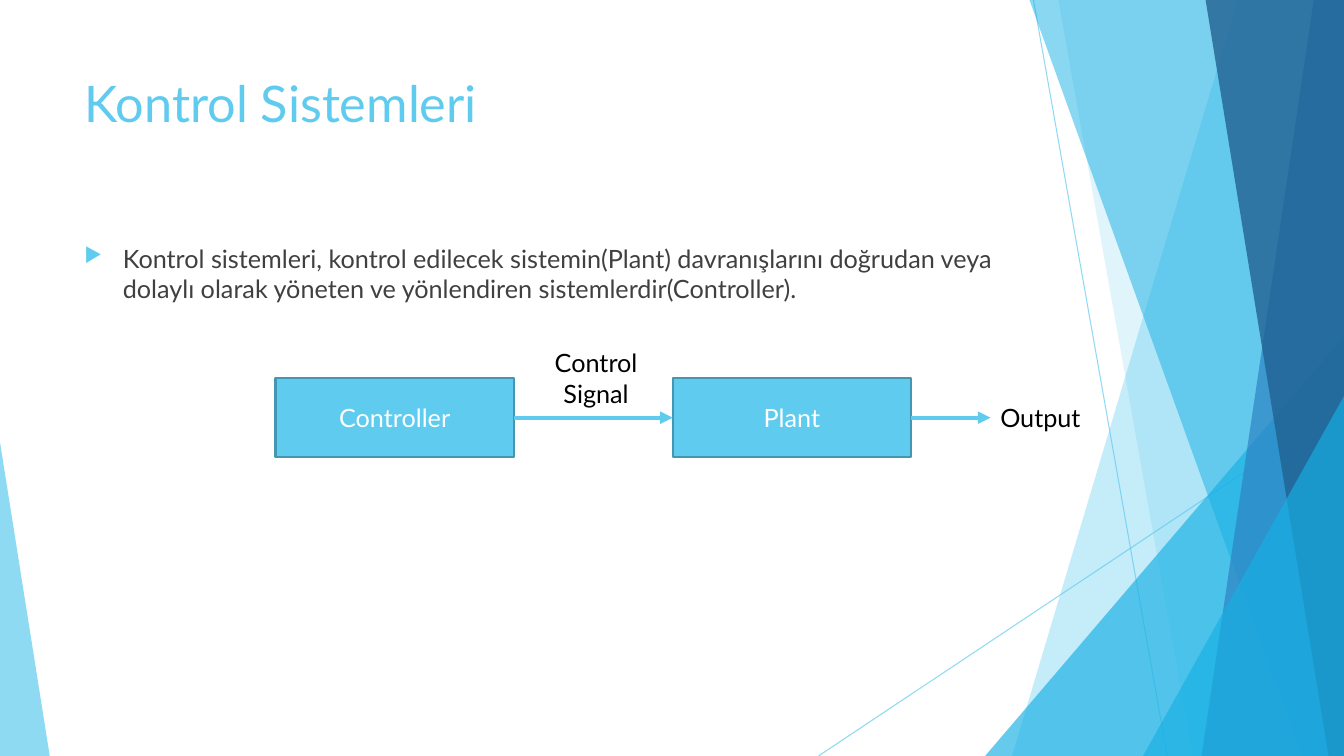
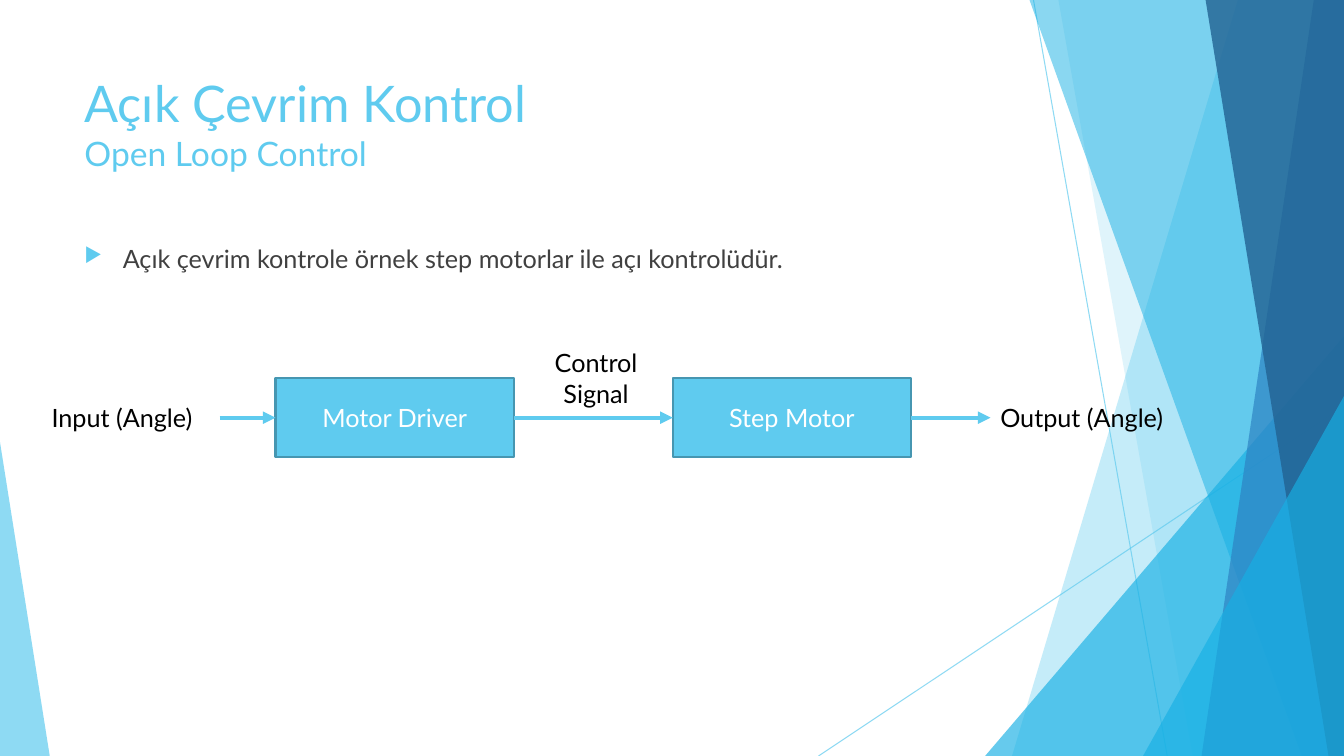
import pptx
import pptx.dml.color
import pptx.enum.shapes
import pptx.enum.text
import pptx.oxml
import pptx.oxml.ns
import pptx.oxml.xmlchemy
import pptx.util

RGBColor = pptx.dml.color.RGBColor
Shape = pptx.enum.shapes.MSO_SHAPE
Align = pptx.enum.text.PP_ALIGN
Anchor = pptx.enum.text.MSO_ANCHOR

SKY = RGBColor(0x5F, 0xCB, 0xEF)
CYAN = RGBColor(0x17, 0xB0, 0xE4)
BLUE = RGBColor(0x2E, 0x83, 0xC3)
NAVY = RGBColor(0x22, 0x62, 0x92)
TEAL = RGBColor(0x46, 0x96, 0xB1)
GRAY = RGBColor(0x40, 0x40, 0x40)
BLACK = RGBColor(0, 0, 0)
WHITE = RGBColor(0xFF, 0xFF, 0xFF)

FONT = "Lato"
TEXT_SIZE = 18
GRID = 100

CONTENT_LEFT, CONTENT_WIDTH = 5.55, 70.5
CELL = 5.91
BLOCK_WIDTH = 3 * CELL
BLOCK_TOP, BLOCK_HEIGHT = 50, 10.5
FIRST_BLOCK = 20.5
SECOND_BLOCK = FIRST_BLOCK + BLOCK_WIDTH + 2 * CELL
OUTPUT_LEFT = SECOND_BLOCK + BLOCK_WIDTH + CELL
LABEL_HEIGHT = 5.4
LABEL_TOP = BLOCK_TOP + (BLOCK_HEIGHT - LABEL_HEIGHT) / 2


class Deck:
    def __init__(self):
        self.presentation = pptx.Presentation()
        self.presentation.slide_width = pptx.util.Inches(13.33)
        self.presentation.slide_height = pptx.util.Inches(7.5)
        self.slide = None

    def column(self, count):
        return round(self.presentation.slide_width * count / GRID)

    def row(self, count):
        return round(self.presentation.slide_height * count / GRID)

    def frame(self, left, top, width, height):
        return self.column(left), self.row(top), self.column(width), self.row(height)

    def child(self, parent, tag, **attributes):
        element = pptx.oxml.xmlchemy.OxmlElement(tag)
        for name, value in attributes.items():
            element.set(name, str(value))
        parent.append(element)

    def opacity(self, shape, percent):
        for color in shape._element.spPr.iter(pptx.oxml.ns.qn("a:srgbClr")):
            self.child(color, "a:alpha", val=percent * 1000)

    def paint(self, shape, color, percent):
        shape.shadow.inherit = False
        shape.fill.solid()
        shape.fill.fore_color.rgb = color
        shape.line.fill.background()
        self.opacity(shape, percent)

    def line(self, start, end, width):
        connector = self.slide.shapes.add_connector(
            pptx.enum.shapes.MSO_CONNECTOR.STRAIGHT,
            self.column(start[0]), self.row(start[1]),
            self.column(end[0]), self.row(end[1]))
        connector.line.color.rgb = SKY
        connector.line.width = pptx.util.Pt(width)
        self.child(connector._element.spPr, "a:effectLst")
        return connector

    def band(self, top_column, bottom_column, color, percent):
        outline = self.slide.shapes.build_freeform(self.column(top_column), 0)
        corners = [(GRID, 0), (GRID, GRID), (bottom_column, GRID)]
        outline.add_line_segments([(self.column(x), self.row(y)) for x, y in corners])
        self.paint(outline.convert_to_shape(), color, percent)

    def triangle(self, left, top, width, apex, color, percent):
        shape = self.slide.shapes.add_shape(
            Shape.ISOSCELES_TRIANGLE, *self.frame(left, top, width, GRID - top))
        shape.adjustments[0] = apex
        self.paint(shape, color, percent)

    def backdrop(self):
        for start, end in [((76.9, 0), (86.85, GRID)), ((GRID, 53.7), (60.9, GRID))]:
            self.opacity(self.line(start, end, 0.75), 70)
        self.band(92.1, 75.3, SKY, 36)
        self.band(78.75, 88.75, SKY, 20)
        self.triangle(73.3, 44.45, 26.7, 1, CYAN, 66)
        self.band(76.6, 96.85, CYAN, 50)
        self.band(97.75, 89.4, BLUE, 70)
        self.band(89.7, 98.85, NAVY, 80)
        self.triangle(85.05, 52.4, 14.95, 1, CYAN, 66)
        self.triangle(0, 58.5, 3.7, 0, SKY, 70)

    def add_text(self, paragraph, text, color, size=TEXT_SIZE):
        run = paragraph.add_run()
        run.text = text
        run.font.name = FONT
        run.font.size = pptx.util.Pt(size)
        run.font.color.rgb = color

    def text_box(self, left, top, width, height, anchor=Anchor.TOP):
        shape = self.slide.shapes.add_textbox(*self.frame(left, top, width, height))
        shape.text_frame.word_wrap = True
        shape.text_frame.vertical_anchor = anchor
        return shape

    def new_slide(self, title, subtitle=None):
        self.slide = self.presentation.slides.add_slide(self.presentation.slide_layouts[6])
        self.backdrop()
        shape = self.text_box(CONTENT_LEFT, 8.9, CONTENT_WIDTH, 19.2)
        paragraph = shape.text_frame.paragraphs[0]
        self.add_text(paragraph, title, SKY, 36)
        if subtitle:
            paragraph.add_line_break()
            self.add_text(paragraph, subtitle, SKY, 24)

    def bullet(self, text):
        shape = self.text_box(CONTENT_LEFT, 31.5, CONTENT_WIDTH, 56.5)
        paragraph = shape.text_frame.paragraphs[0]
        paragraph.space_before = pptx.util.Pt(10)
        properties = paragraph._p.get_or_add_pPr()
        indent = pptx.util.Inches(0.38)
        properties.set("marL", str(indent))
        properties.set("indent", str(-indent))
        self.child(properties, "a:buClr")
        self.child(properties[-1], "a:srgbClr", val=SKY)
        self.child(properties, "a:buSzPct", val=80000)
        self.child(properties, "a:buChar", char="▶")
        self.add_text(paragraph, text, GRAY)

    def block(self, left, text):
        shape = self.slide.shapes.add_shape(
            Shape.RECTANGLE, *self.frame(left, BLOCK_TOP, BLOCK_WIDTH, BLOCK_HEIGHT))
        shape.shadow.inherit = False
        shape.fill.solid()
        shape.fill.fore_color.rgb = SKY
        shape.line.color.rgb = TEAL
        shape.line.width = pptx.util.Pt(1.5)
        shape.text_frame.vertical_anchor = Anchor.MIDDLE
        paragraph = shape.text_frame.paragraphs[0]
        paragraph.alignment = Align.CENTER
        self.add_text(paragraph, text, WHITE)
        return shape

    def label(self, left, width, text):
        shape = self.text_box(left, LABEL_TOP, width, LABEL_HEIGHT, Anchor.MIDDLE)
        self.add_text(shape.text_frame.paragraphs[0], text, BLACK)
        return shape

    def signal(self, *words):
        shape = self.text_box(40.5, 45.35, 7.7, 9.45)
        frame = shape.text_frame
        frame.word_wrap = False
        for index, word in enumerate(words):
            paragraph = frame.add_paragraph() if index else frame.paragraphs[0]
            paragraph.alignment = Align.CENTER
            self.add_text(paragraph, word, BLACK)

    def arrow(self, source, target):
        connector = self.line((0, 0), (0, 0), 3)
        connector.begin_connect(source, 3)
        connector.end_connect(target, 1)
        outline = connector._element.spPr.find(pptx.oxml.ns.qn("a:ln"))
        self.child(outline, "a:tailEnd", type="triangle")

    def diagram(self, controller, plant, output, source=None):
        chain = [self.block(FIRST_BLOCK, controller),
                 self.block(SECOND_BLOCK, plant),
                 self.label(OUTPUT_LEFT, 22.15, output)]
        if source:
            chain.insert(0, self.label(3.1, 13.25, source))
        for start, end in zip(chain, chain[1:]):
            self.arrow(start, end)
        self.signal("Control", "Signal")


def main():
    deck = Deck()

    deck.new_slide("Kontrol Sistemleri")
    deck.bullet("Kontrol sistemleri, kontrol edilecek sistemin(Plant) davranışlarını "
                "doğrudan veya dolaylı olarak yöneten ve yönlendiren "
                "sistemlerdir(Controller).")
    deck.diagram("Controller", "Plant", "Output")

    deck.new_slide("Açık Çevrim Kontrol", "Open Loop Control")
    deck.bullet("Açık çevrim kontrole örnek step motorlar ile açı kontrolüdür.")
    deck.diagram("Motor Driver", "Step Motor", "Output (Angle)", "Input (Angle)")

    deck.presentation.save("out.pptx")


if __name__ == "__main__":
    main()
